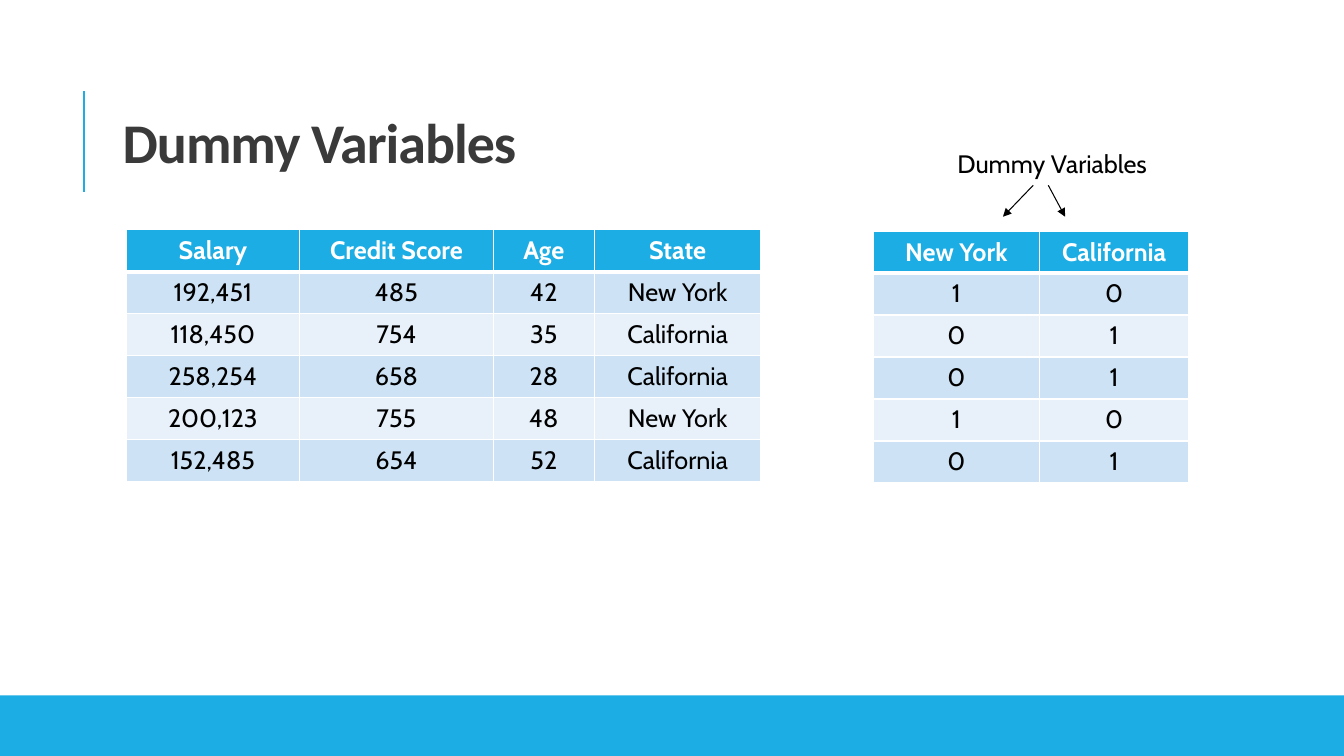
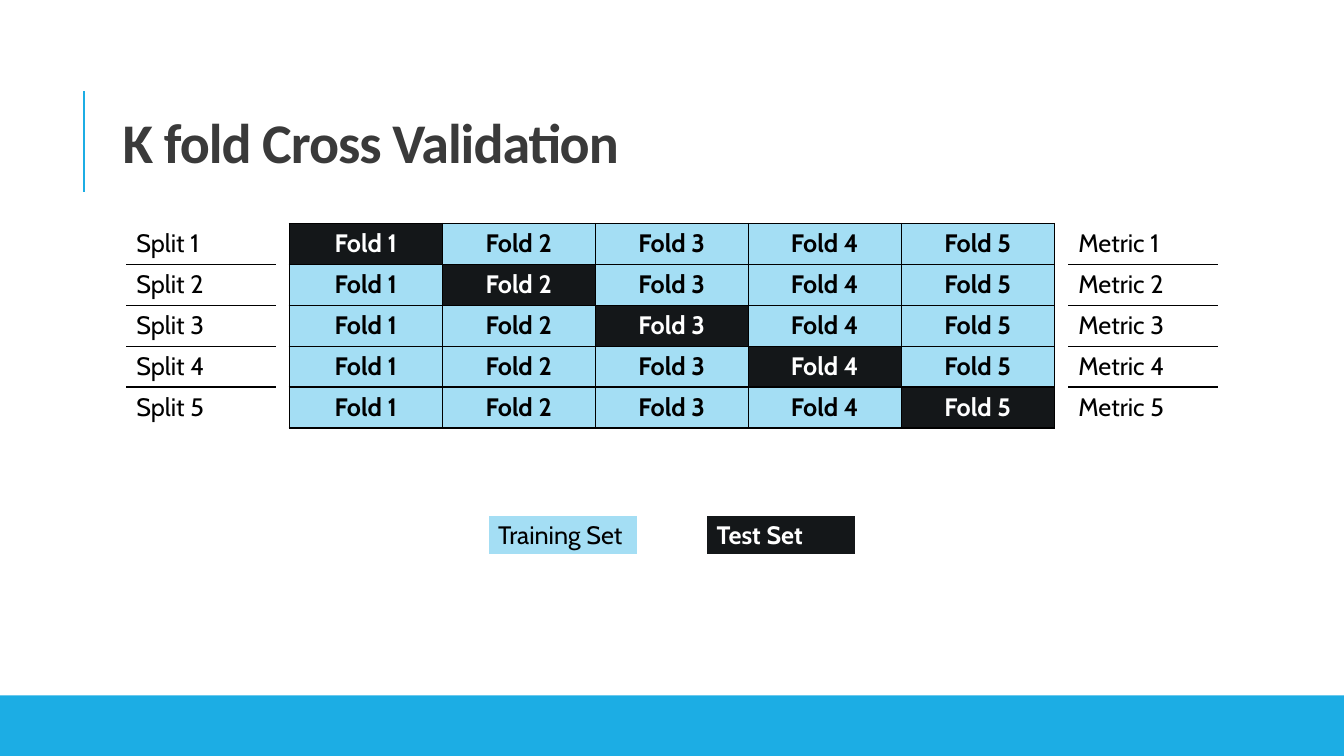
from dataclasses import dataclass

from lxml.etree import SubElement
from pptx import Presentation
from pptx.dml.color import RGBColor
from pptx.enum.shapes import MSO_CONNECTOR, MSO_SHAPE
from pptx.enum.text import MSO_ANCHOR, PP_ALIGN
from pptx.oxml.ns import qn
from pptx.util import Pt

BLUE = RGBColor(0x1C, 0xAD, 0xE4)
LIGHT_BLUE = RGBColor(0xA4, 0xDE, 0xF4)
BAND_DARK = RGBColor(0xCD, 0xE3, 0xF5)
BAND_LIGHT = RGBColor(0xE8, 0xF1, 0xFA)
INK = RGBColor(0x14, 0x17, 0x19)
GREY = RGBColor(0x3A, 0x3A, 0x3A)
BLACK = RGBColor(0x00, 0x00, 0x00)
WHITE = RGBColor(0xFF, 0xFF, 0xFF)

TITLE_FONT = "Calibri"
BODY_FONT = "Cabin"
SIDES = ("L", "R", "T", "B")
CONTENT_LEFT = 90.2
DATA_ROW = 30
FOLD_TOP = 159.6
FOLD_ROW = 29.25
FOLDS = 5
LABEL_WIDTH = 106.8
LEGEND_TOP = 368


@dataclass
class CellLook:
    """Fill, text colour, weight and placement of a table cell."""

    fill: RGBColor | None
    color: RGBColor = BLACK
    bold: bool = False
    align: PP_ALIGN = PP_ALIGN.CENTER
    anchor: MSO_ANCHOR = MSO_ANCHOR.MIDDLE


HEADER = CellLook(BLUE, WHITE, True)
STRIPES = (CellLook(BAND_LIGHT), CellLook(BAND_DARK))
TRAINING_FOLD = CellLook(LIGHT_BLUE, BLACK, True)
TEST_FOLD = CellLook(INK, WHITE, True)
LABEL = CellLook(None, align=PP_ALIGN.LEFT, anchor=MSO_ANCHOR.TOP)
TRAINING_KEY = CellLook(LIGHT_BLUE, align=PP_ALIGN.LEFT, anchor=MSO_ANCHOR.TOP)
TEST_KEY = CellLook(INK, WHITE, True, PP_ALIGN.LEFT, MSO_ANCHOR.TOP)


def write_text(frame, text, font, size, color, bold=False):
    """Set the text of a frame and return its formatted paragraph."""
    frame.text = text
    para = frame.paragraphs[0]
    for span in para.runs:
        span.font.name = font
        span.font.size = Pt(size)
        span.font.color.rgb = color
        span.font.bold = bold
    return para


def add_text(page, text, left, top, width, height, font, size, color, bold=False):
    """Add a wrapping text box."""
    box = page.shapes.add_textbox(Pt(left), Pt(top), Pt(width), Pt(height))
    box.text_frame.word_wrap = True
    write_text(box.text_frame, text, font, size, color, bold)
    return box


def add_line(page, start, end, color, width, arrow=False):
    """Add a straight line, with an arrowhead at its end if asked."""
    line = page.shapes.add_connector(
        MSO_CONNECTOR.STRAIGHT, *(Pt(value) for value in (*start, *end))
    )
    line.line.color.rgb = color
    line.line.width = Pt(width)
    if arrow:
        SubElement(line.line._get_or_add_ln(), qn("a:tailEnd"), type="triangle")
    SubElement(line._element.spPr, qn("a:effectLst"))


def add_page(deck, title):
    """Add a slide with the shared rule, band and title."""
    page = deck.slides.add_slide(deck.slide_layouts[6])
    add_line(page, (60, 136.8), (60, 64.8), BLUE, 1.5)
    band = page.shapes.add_shape(
        MSO_SHAPE.RECTANGLE, Pt(0), Pt(496.8), Pt(960), Pt(43.2)
    )
    band.shadow.inherit = False
    band.fill.solid()
    band.fill.fore_color.rgb = BLUE
    band.line.fill.background()
    box = add_text(page, title, 80.6, 46.1, 765.4, 118, TITLE_FONT, 40, GREY, True)
    box.text_frame.vertical_anchor = MSO_ANCHOR.MIDDLE
    para = box.text_frame.paragraphs[0]
    para.line_spacing = 0.8
    para.runs[0]._r.get_or_add_rPr().set("spc", "-70")
    return page


def set_borders(cell, color, widths):
    """Draw the cell sides that have a width and clear the others."""
    properties = cell._tc.get_or_add_tcPr()
    for side in SIDES:
        width = widths.get(side, 0)
        line = SubElement(properties, qn(f"a:ln{side}"), w=str(Pt(width)))
        if width:
            solid = SubElement(line, qn("a:solidFill"))
            SubElement(solid, qn("a:srgbClr"), val=str(color))
        else:
            SubElement(line, qn("a:noFill"))


def format_cell(cell, text, look):
    """Write a cell and give it its look."""
    if look.fill is None:
        cell.fill.background()
    else:
        cell.fill.solid()
        cell.fill.fore_color.rgb = look.fill
    cell.vertical_anchor = look.anchor
    para = write_text(cell.text_frame, text, BODY_FONT, 18, look.color, look.bold)
    para.alignment = look.align


def add_grid(page, left, top, widths, height, rows, look_at, border, border_at):
    """Add a table whose looks and border widths follow from row and column."""
    frame = page.shapes.add_table(
        len(rows), len(widths), Pt(left), Pt(top), Pt(sum(widths)), Pt(height * len(rows))
    )
    table = frame.table
    table.first_row = False
    table.horz_banding = False
    for column, width in zip(table.columns, widths):
        column.width = Pt(width)
    for row, texts in enumerate(rows):
        table.rows[row].height = Pt(height)
        for column, text in enumerate(texts):
            cell = table.cell(row, column)
            set_borders(cell, border, border_at(row))
            format_cell(cell, text, look_at(row, column))


def all_sides(row):
    """Give every side a thin border."""
    return dict.fromkeys(SIDES, 1)


def header_sides(row):
    """Give thin borders, with a thick one below the header."""
    thick = {0: {"B": 3}, 1: {"T": 3}}
    return all_sides(row) | thick.get(row, {})


def inner_rules(row):
    """Give borders between the rows only."""
    return {"T": int(row > 0), "B": int(row < FOLDS - 1)}


def add_data_table(page, left, top, widths, rows):
    """Add a banded table with a header row."""

    def look_at(row, column):
        """Pick the header or the stripe of the row."""
        return STRIPES[row % 2] if row else HEADER

    add_grid(page, left, top, widths, DATA_ROW, rows, look_at, WHITE, header_sides)


def add_label_column(page, left, word):
    """Add a column of numbered labels beside the folds."""
    rows = [[f"{word} {number}"] for number in range(1, FOLDS + 1)]
    add_grid(
        page, left, FOLD_TOP, [LABEL_WIDTH], FOLD_ROW, rows,
        lambda row, column: LABEL, BLACK, inner_rules,
    )


def add_key(page, left, text, look):
    """Add one entry of the legend."""
    add_grid(
        page, left, LEGEND_TOP, [LABEL_WIDTH], 28, [[text]],
        lambda row, column: look, WHITE, header_sides,
    )


def build_dummy_variables(deck):
    """Build the slide on dummy variables."""
    page = add_page(deck, "Dummy Variables")
    people = [
        ("Salary", "Credit Score", "Age", "State"),
        ("192,451", "485", "42", "New York"),
        ("118,450", "754", "35", "California"),
        ("258,254", "658", "28", "California"),
        ("200,123", "755", "48", "New York"),
        ("152,485", "654", "52", "California"),
    ]
    states = ("New York", "California")
    flags = [[str(int(person[-1] == state)) for state in states] for person in people[1:]]
    add_data_table(page, CONTENT_LEFT, 164.2, (123.8, 138.4, 72.2, 119), people)
    add_data_table(page, 623.8, 165, (118.6, 107), [states, *flags])
    add_text(page, "Dummy Variables", 676.8, 102.4, 172, 29, BODY_FONT, 18, BLACK)
    add_line(page, (738, 132.4), (716.4, 154.8), BLACK, 0.75, arrow=True)
    add_line(page, (748.8, 132.4), (760.8, 154.8), BLACK, 0.75, arrow=True)


def build_cross_validation(deck):
    """Build the slide on k fold cross validation."""
    page = add_page(deck, "K fold Cross Validation")
    folds = [[f"Fold {number}" for number in range(1, FOLDS + 1)]] * FOLDS
    add_grid(
        page, 206.6, FOLD_TOP, [109.3] * FOLDS, FOLD_ROW, folds,
        lambda row, column: TEST_FOLD if row == column else TRAINING_FOLD,
        BLACK, all_sides,
    )
    add_key(page, 348.6, "Training Set", TRAINING_KEY)
    add_key(page, 504.6, "Test Set", TEST_KEY)
    add_label_column(page, CONTENT_LEFT, "Split")
    add_label_column(page, 763, "Metric")


def main():
    """Build the deck and save it."""
    deck = Presentation()
    deck.slide_width = Pt(960)
    deck.slide_height = Pt(540)
    build_dummy_variables(deck)
    build_cross_validation(deck)
    deck.save("out.pptx")


main()
